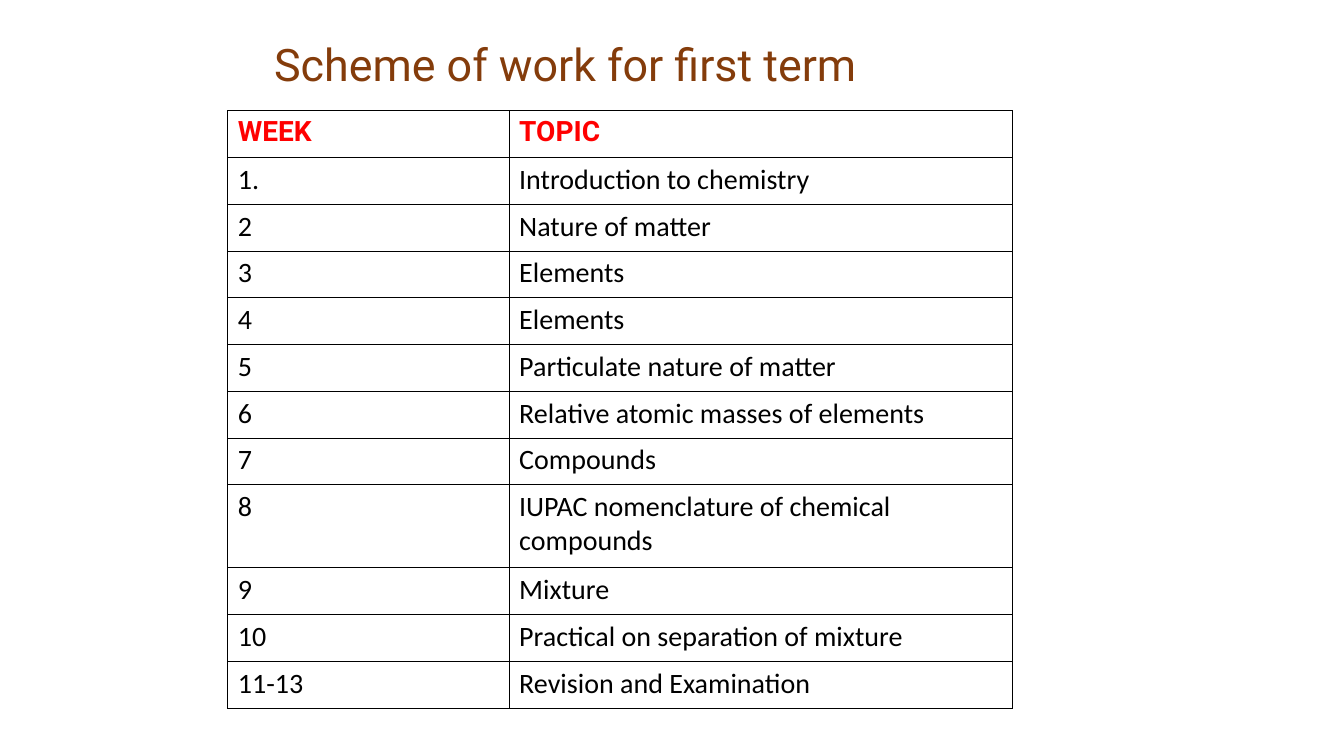
from pptx import Presentation
from pptx import util as u
from pptx.dml.color import RGBColor
from pptx.enum import text
from pptx.oxml import parse_xml
from pptx.oxml.ns import nsdecls

WIDE, HIGH = u.Inches(13.33), u.Inches(7.5)
HUES = {"title": "843C0B", "head": "FF0000", "body": "000000", "rule": "000000"}
FONTS = {
    "title": {"name": "Roboto", "size": u.Pt(32), "bold": False},
    "head": {"name": "Roboto", "size": u.Pt(20), "bold": True},
    "body": {"name": "Calibri", "size": u.Pt(20), "bold": False},
}
LEFT, TOP = 2.26, 1.1
COLS = (2.79, 4.99)
ROW, TALL = 0.464, 0.824
PLAN = [
    ("WEEK", "TOPIC"),
    ("1.", "Introduction to chemistry"),
    ("2", "Nature of matter"),
    ("3", "Elements"),
    ("4", "Elements"),
    ("5", "Particulate nature of matter"),
    ("6", "Relative atomic masses of elements"),
    ("7", "Compounds"),
    ("8", "IUPAC nomenclature of chemical compounds"),
    ("9", "Mixture"),
    ("10", "Practical on separation of mixture"),
    ("11-13", "Revision and Examination"),
]
LONG = 8  # the week whose topic takes two lines


def write(frame, words, kind):
    para = frame.paragraphs[0]
    run = para.add_run()
    run.text = words
    for key, value in FONTS[kind].items():
        setattr(run.font, key, value)
    run.font.color.rgb = RGBColor.from_string(HUES[kind])
    return para


def rule(cell):
    """Draw a thin line on each side of the cell."""
    props = cell._tc.get_or_add_tcPr()
    for spot, side in enumerate(("lnL", "lnR", "lnT", "lnB")):
        props.insert(spot, parse_xml(
            f'<a:{side} {nsdecls("a")} w="{u.Pt(1)}"><a:solidFill>'
            f'<a:srgbClr val="{HUES["rule"]}"/></a:solidFill></a:{side}>'))


def add_title(slide, words):
    box = slide.shapes.add_textbox(*map(u.Inches, (2.62, 0.22, 7.41, 0.88)))
    frame = box.text_frame
    frame.word_wrap = True
    frame.vertical_anchor = text.MSO_ANCHOR.MIDDLE
    write(frame, words, "title").line_spacing = 0.9


def add_plan(slide, rows):
    highs = [TALL if i == LONG else ROW for i in range(len(rows))]
    area = map(u.Inches, (LEFT, TOP, sum(COLS), sum(highs)))
    grid = slide.shapes.add_table(len(rows), len(COLS), *area).table
    for col, width in zip(grid.columns, COLS):
        col.width = u.Inches(width)
    for i, (row, high) in enumerate(zip(grid.rows, highs)):
        row.height = u.Inches(high)
        for cell, words in zip(row.cells, rows[i]):
            cell.fill.background()
            rule(cell)
            write(cell.text_frame, words, "body" if i else "head")


def main():
    deck = Presentation()
    deck.slide_width, deck.slide_height = WIDE, HIGH
    slide = deck.slides.add_slide(deck.slide_layouts[6])
    add_title(slide, "Scheme of work for first term")
    add_plan(slide, PLAN)
    deck.save("out.pptx")


if __name__ == "__main__":
    main()
